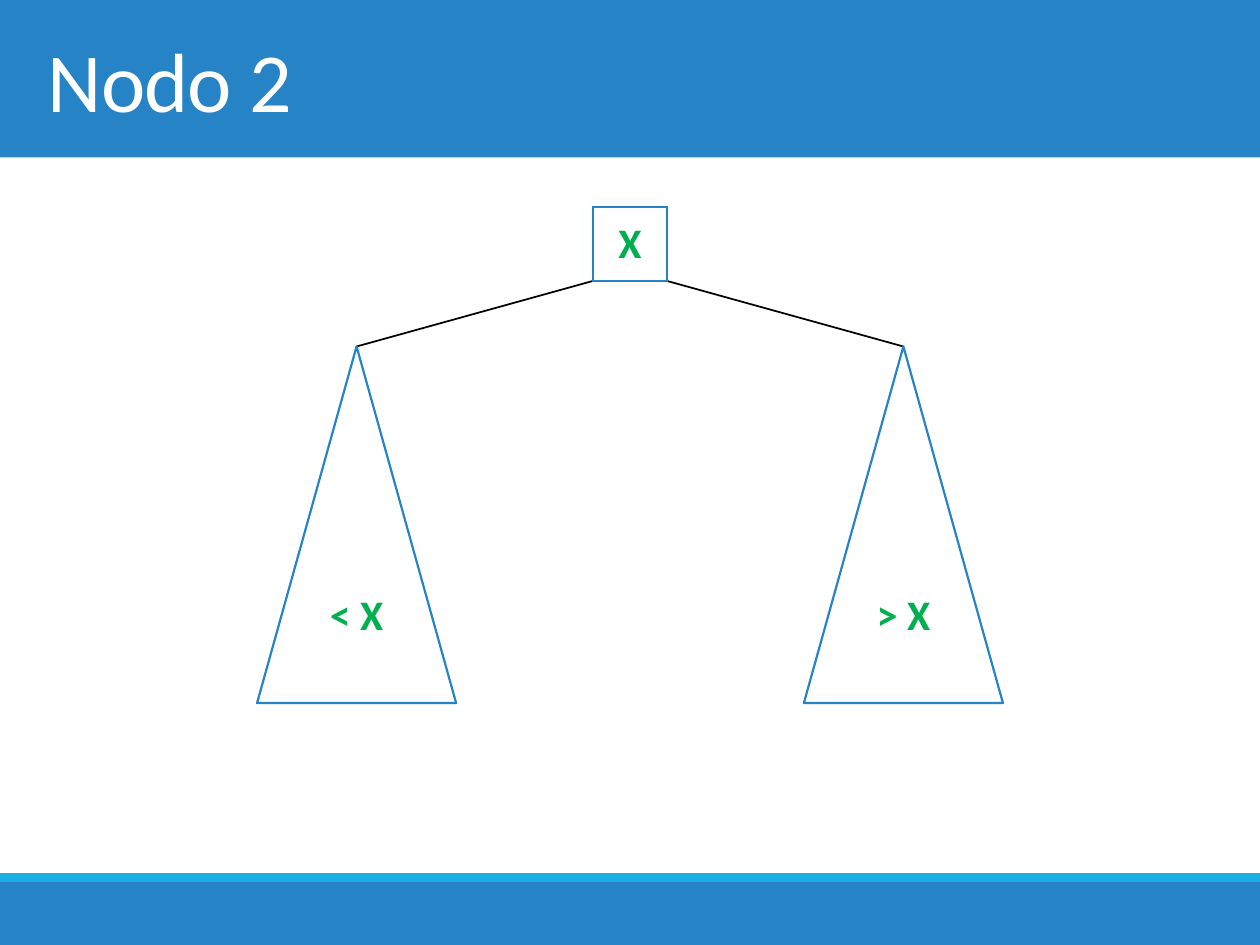
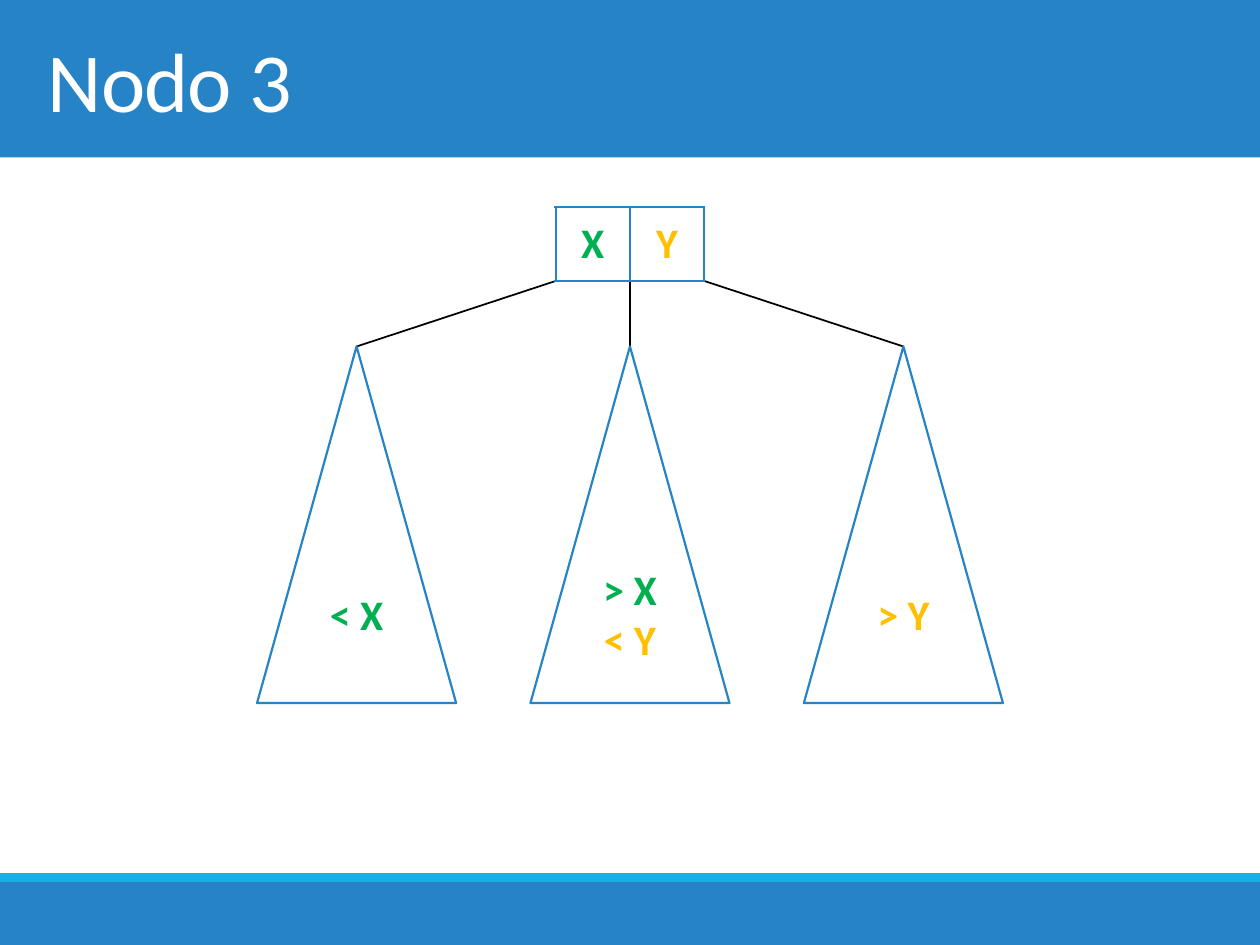
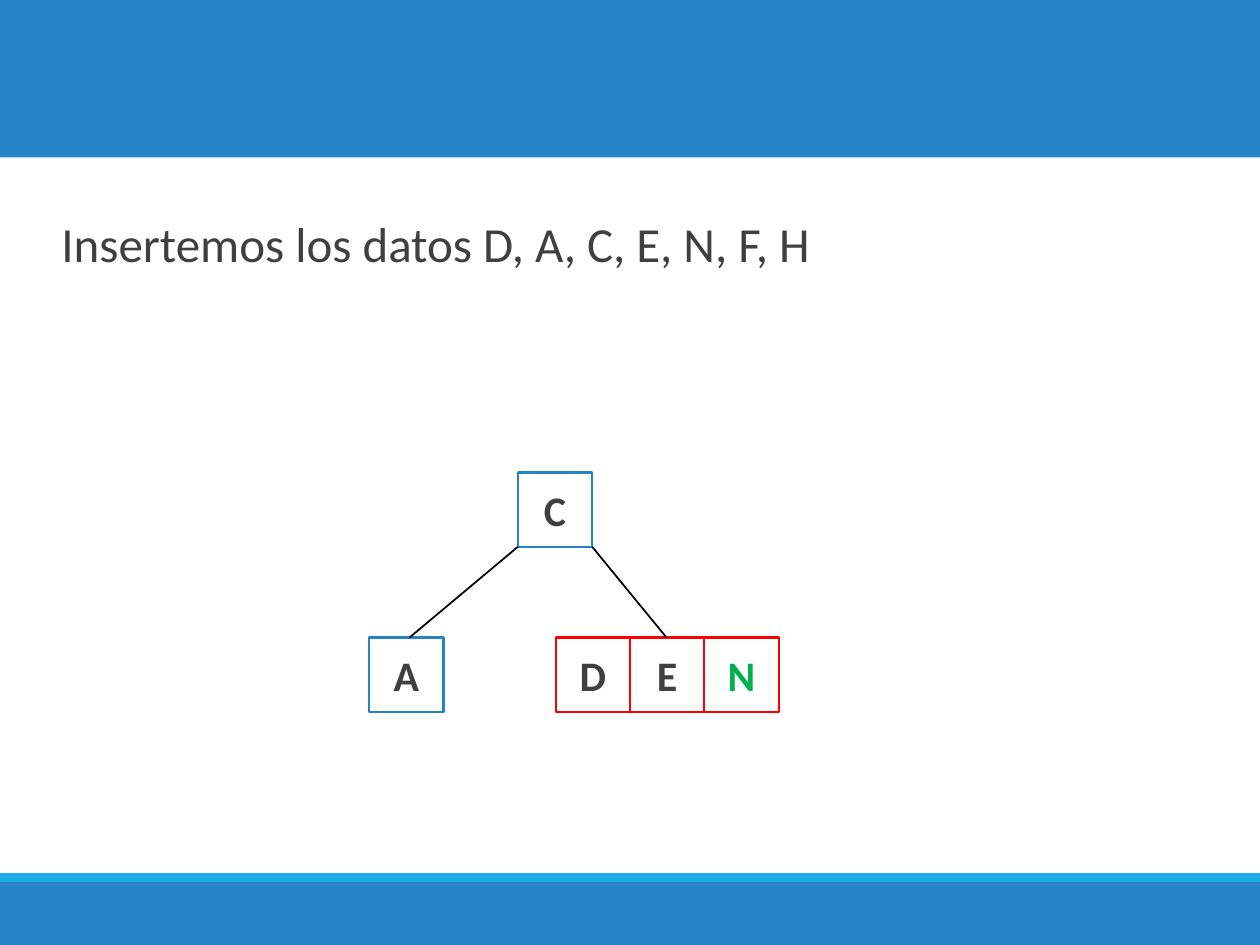
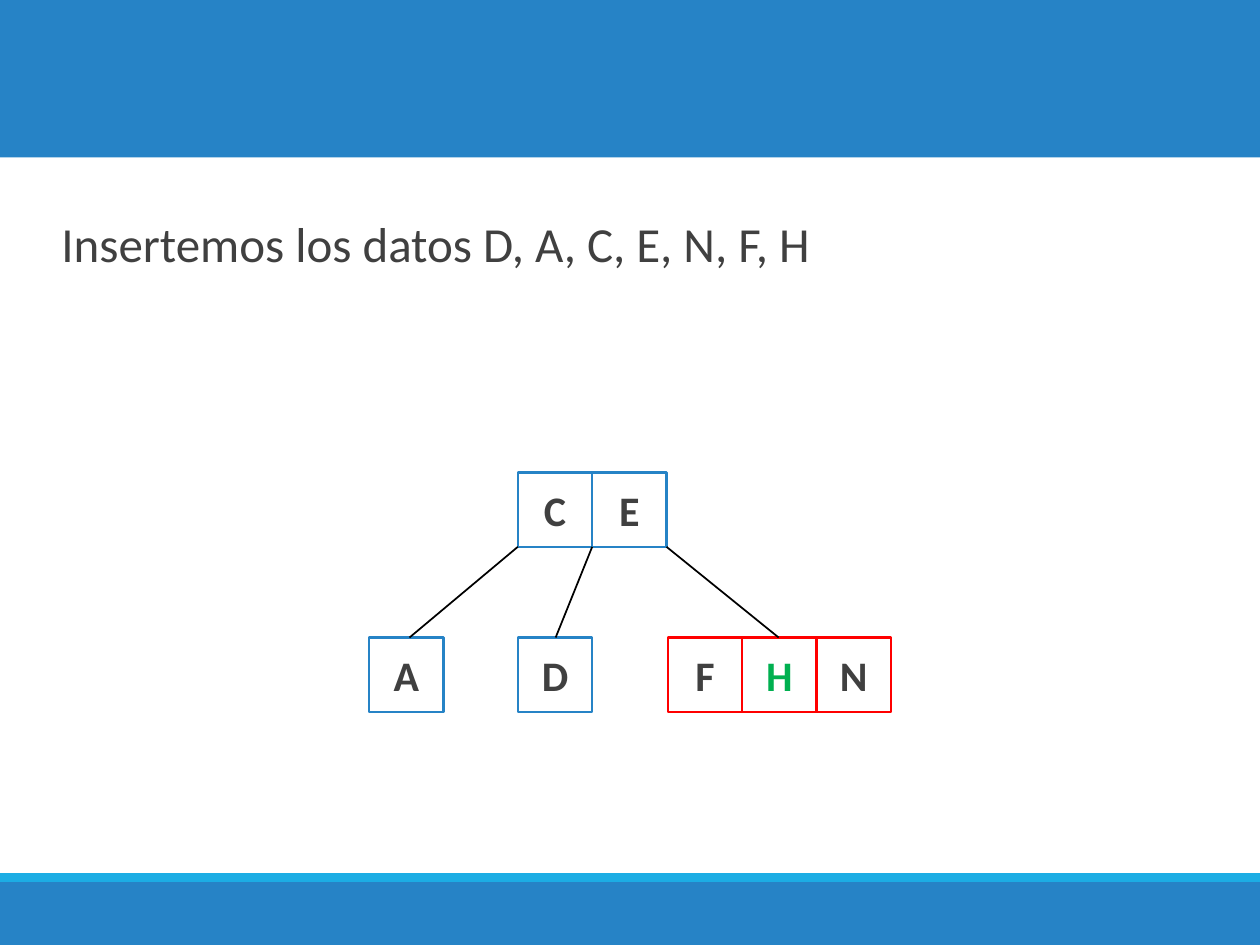
import pptx
import pptx.util
import pptx.dml.color
import pptx.enum.shapes
import pptx.enum.text
import pptx.oxml
import pptx.oxml.ns
import lxml.etree

Inches, Pt = pptx.util.Inches, pptx.util.Pt
Shape = pptx.enum.shapes.MSO_SHAPE
Align = pptx.enum.text.PP_ALIGN
Anchor = pptx.enum.text.MSO_ANCHOR

# Colours
BLUE, SKY, WHITE, BLACK = "2683C6", "1CADE4", "FFFFFF", "000000"
GREEN, GOLD, RED, GRAY = "00B050", "FFC000", "FF0000", "404040"
FONT = "Calibri"

# Measures in inches
SIDE = 0.59                     # side of a key box
MID, STEP = 5, 2.17             # centre and spacing of the subtrees
ROOT, TIP = 1.64, 2.75          # top of the root, tip of the subtrees
UPPER, LOWER = 3.75, 5.06       # the two levels of the example tree


def color(code):
    return pptx.dml.color.RGBColor.from_string(code)


def box(*nums):
    return [Inches(num) for num in nums]


def child(node, tag, **attrs):
    return lxml.etree.SubElement(node, pptx.oxml.ns.qn(tag), **attrs)


class Deck:
    """Holds the shared style and the current slide."""

    def __init__(self):
        self.prs = pptx.Presentation()
        self.prs.slide_width, self.prs.slide_height = box(10, 7.5)
        self.slide = None

    def start(self, layout):
        first = self.slide is None
        self.slide = self.prs.slides.add_slide(self.prs.slide_layouts[layout])
        if first:
            self.bands()

    def bands(self):
        # Drawn once, then moved to the master behind everything else
        tree = self.prs.slide_master.element.cSld.spTree
        for spot, (top, high, fill) in enumerate(
                [(0, 1.25, BLUE), (7, 0.5, BLUE), (6.93, 0.07, SKY)], 2):
            band = self.shape(Shape.RECTANGLE, (0, top, 10, high), fill)
            tree.insert(spot, band.element)

    def place(self, item, area):
        item.left, item.top, item.width, item.height = box(*area)

    def style(self, run, size, code, bold=False):
        run.font.name, run.font.size, run.font.bold = FONT, Pt(size), bold
        run.font.color.rgb = color(code)

    def title(self, text):
        self.start(5)
        item = self.slide.shapes.title
        self.place(item, (0.28, 0, 9.45, 1.25))
        frame = item.text_frame
        frame.text = text
        frame.vertical_anchor = Anchor.MIDDLE
        frame.auto_size = pptx.enum.text.MSO_AUTO_SIZE.NONE
        para = frame.paragraphs[0]
        para.alignment = Align.LEFT
        self.style(para.runs[0], 48, WHITE)
        para.runs[0].font._element.set("spc", "-50")

    def body(self, text):
        self.start(1)
        head = self.slide.shapes.title.element
        head.getparent().remove(head)
        item = self.slide.placeholders[1]
        self.place(item, (0.28, 1.41, 9.45, 0.87))
        frame = item.text_frame
        frame.text = text
        frame.auto_size = pptx.enum.text.MSO_AUTO_SIZE.NONE
        para = frame.paragraphs[0]
        para.line_spacing = 1.5
        para.space_before, para.space_after = Pt(12), Pt(2)
        props = para._p.get_or_add_pPr()
        props.set("marL", str(Inches(0.1)))
        props.set("indent", str(Inches(-0.1)))
        child(child(props, "a:buClr"), "a:srgbClr", val=SKY)
        child(props, "a:buChar", char=" ")
        self.style(para.runs[0], 28, GRAY)

    def label(self, frame, parts):
        """Centred bold text from (text, colour) parts."""
        frame.text = parts[0][0]
        para = frame.paragraphs[0]
        para.alignment = Align.CENTER
        for text, _ in parts[1:]:
            para.add_run().text = text
        for run, (_, code) in zip(para.runs, parts):
            self.style(run, 24, code, True)

    def shape(self, kind, area, fill=WHITE, edge=None, parts=None):
        item = self.slide.shapes.add_shape(kind, *box(*area))
        item.shadow.inherit = False
        item.fill.solid()
        item.fill.fore_color.rgb = color(fill)
        if edge:
            item.line.color.rgb = color(edge)
            item.line.width = Pt(1.25)
        else:
            item.line.fill.background()
        if parts:
            item.text_frame.word_wrap = True
            item.text_frame.vertical_anchor = Anchor.MIDDLE
            self.label(item.text_frame, parts)
        return item

    def link(self, x1, y1, x2, y2):
        line = self.slide.shapes.add_connector(
            pptx.enum.shapes.MSO_CONNECTOR.STRAIGHT, *box(x1, y1, x2, y2))
        line.line.color.rgb = color(BLACK)
        line.line.width = Pt(1)
        child(line.element.spPr, "a:effectLst")

    def root(self, keys):
        """One-row table centred on the slide."""
        wide = SIDE * len(keys)
        table = self.slide.shapes.add_table(
            1, len(keys), *box(MID - wide / 2, ROOT, wide, SIDE)).table
        table.first_row = table.horz_banding = False
        for cell, key in zip(table.rows[0].cells, keys):
            props = cell._tc.get_or_add_tcPr()
            for side in "LRTB":
                edge = child(props, "a:ln" + side, w=str(Pt(1.5)))
                child(child(edge, "a:solidFill"), "a:srgbClr", val=BLUE)
            cell.fill.solid()
            cell.fill.fore_color.rgb = color(WHITE)
            cell.vertical_anchor = Anchor.MIDDLE
            self.label(cell.text_frame, [key])

    def node(self, keys, subs):
        """Root with one subtree under each gap; subs maps place to label."""
        half = SIDE * len(keys) / 2
        for pos in subs:
            self.link(MID + pos * half, ROOT + SIDE, MID + pos * STEP, TIP)
        self.root(keys)
        for pos, parts in subs.items():
            self.shape(Shape.ISOSCELES_TRIANGLE,
                       (MID + pos * STEP - 0.79, TIP, 1.58, 2.83),
                       edge=BLUE, parts=parts)

    def row(self, left, top, keys, edge=BLUE, new=""):
        """Adjoining key boxes; the new key is green."""
        for col, key in enumerate(keys):
            self.shape(Shape.RECTANGLE, (left + col * SIDE, top, SIDE, SIDE),
                       edge=edge, parts=[(key, GREEN if key == new else GRAY)])

    def links(self, pairs):
        for upper, lower in pairs:
            self.link(upper, UPPER + SIDE, lower, LOWER)


deck = Deck()
TASK = "Insertemos los datos D, A, C, E, N, F, H"

# Slide 1: node with one key
deck.title("Nodo 2")
deck.node([("X", GREEN)], {-1: [("< X", GREEN)], 1: [("> X", GREEN)]})

# Slide 2: node with two keys
deck.title("Nodo 3")
deck.node([("X", GREEN), ("Y", GOLD)],
          {-1: [("< X", GREEN)],
           0: [("> X ", GREEN), ("< Y", GOLD)],
           1: [("> Y", GOLD)]})

# Slide 3: N overfills a leaf
deck.body(TASK)
deck.row(4.11, UPPER, "C")
deck.row(2.93, LOWER, "A")
deck.row(4.41, LOWER, "DEN", RED, "N")
deck.links([(4.11, 3.25), (4.7, 5.29)])

# Slide 4: H overfills a leaf
deck.body(TASK)
deck.row(4.11, UPPER, "CE")
deck.row(2.93, LOWER, "A")
deck.row(4.11, LOWER, "D")
deck.row(5.3, LOWER, "FHN", RED, "H")
deck.links([(4.11, 3.25), (4.7, 4.41), (5.29, 6.18)])

deck.prs.save("out.pptx")
